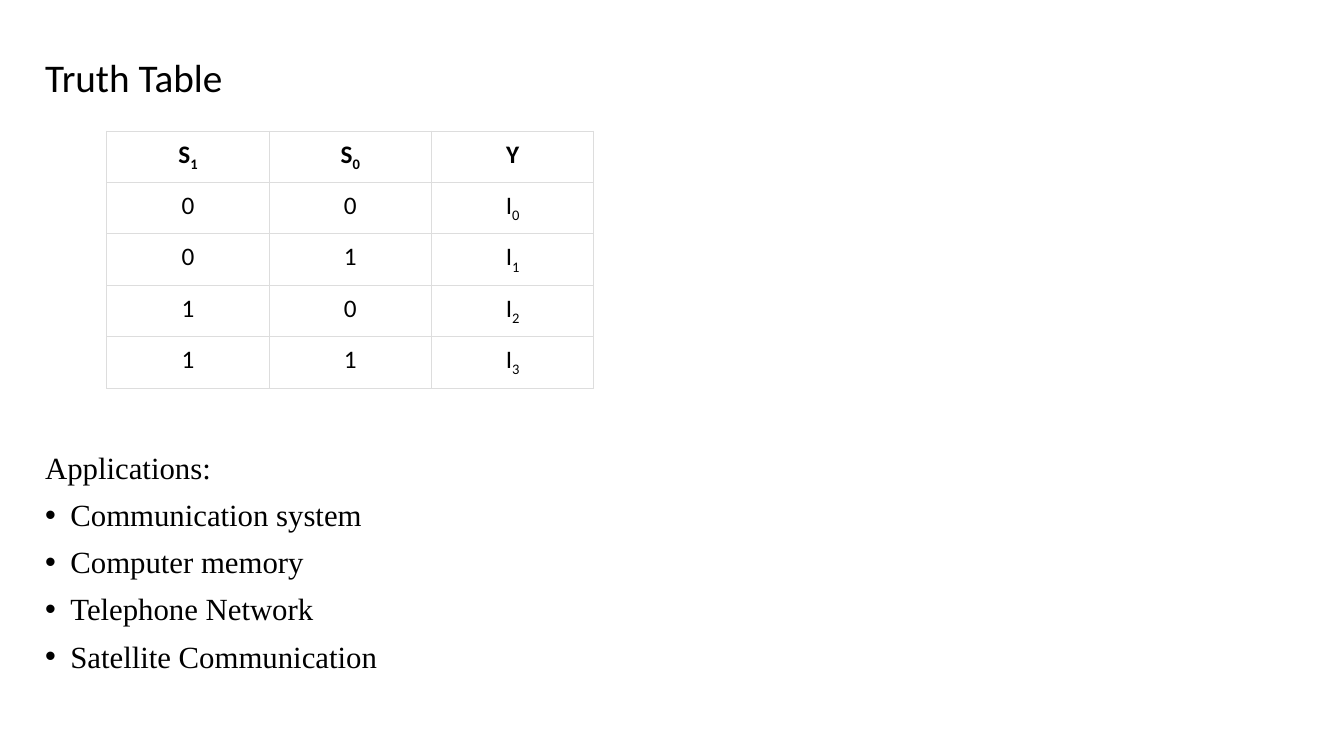
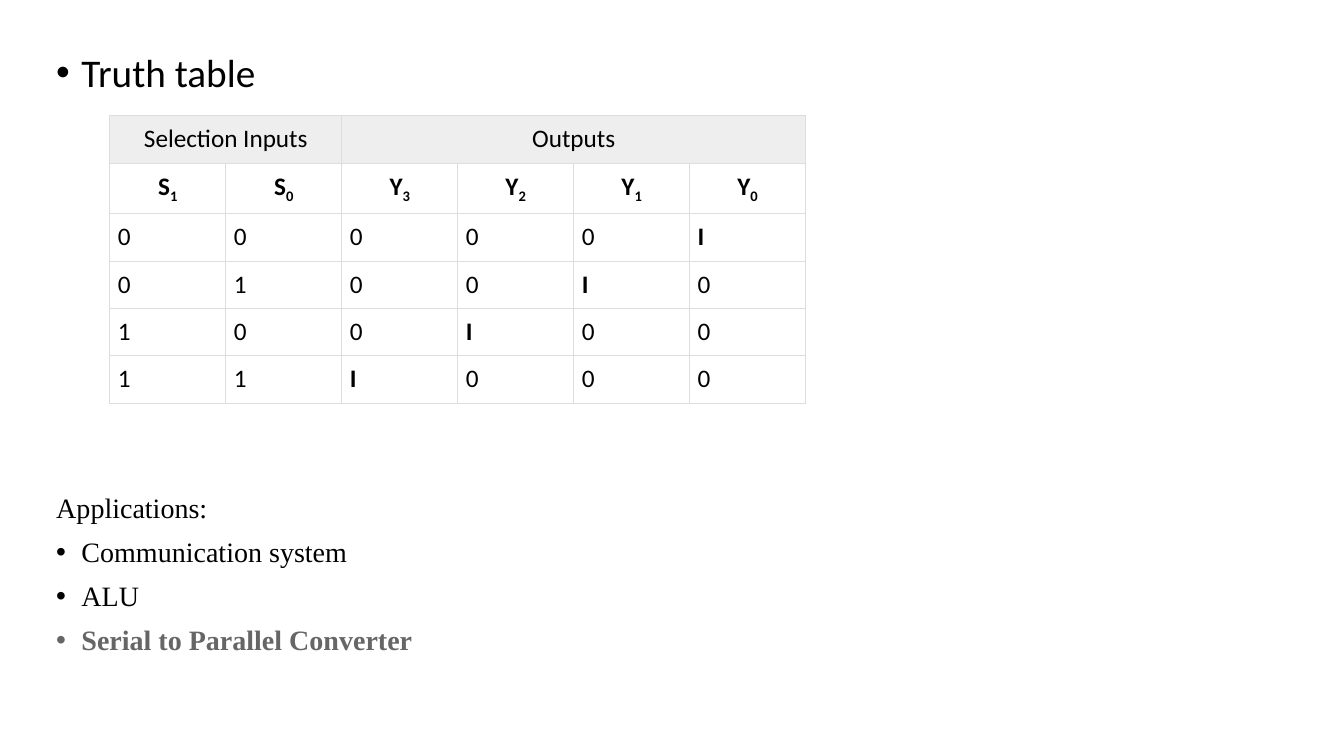
from lxml.etree import SubElement
from pptx import Presentation
from pptx.dml.color import RGBColor
from pptx.enum.text import MSO_ANCHOR, PP_ALIGN
from pptx.oxml.ns import qn
from pptx.util import Inches, Pt

COLORS = {"text": "000000", "muted": "666666", "border": "DDDDDD", "band": "EEEEEE"}
HEADING = {"name": "Calibri", "size": Pt(28)}
CELL = {"name": "Calibri", "size": Pt(18)}
BODY_FONT = "Times New Roman"
PARAGRAPH = {"line_spacing": 0.9, "space_before": Pt(10)}
FRAME = {"word_wrap": True, "vertical_anchor": MSO_ANCHOR.TOP}
CELL_PADDING = {f"margin_{side}": Inches(0.08) for side in ("left", "right", "top", "bottom")}
PLAIN_TABLE = {"first_row": False, "horz_banding": False}
BULLET_INDENT = Inches(0.25)


def apply(target, formats):
    """Set every attribute named in a dict of format values."""
    for name, value in formats.items():
        setattr(target, name, value)


def add_run(paragraph, words, formats, color="text"):
    """Add a formatted run and return it."""
    run = paragraph.add_run()
    run.text = words
    apply(run.font, formats)
    run.font.color.rgb = RGBColor.from_string(COLORS[color])
    return run


def add_bullet(paragraph):
    """Give a paragraph a round bullet with a hanging indent."""
    properties = paragraph._p.get_or_add_pPr()
    properties.set("marL", str(BULLET_INDENT))
    properties.set("indent", str(-BULLET_INDENT))
    SubElement(properties, qn("a:buFont"), typeface="Arial")
    SubElement(properties, qn("a:buChar"), char="•")


def add_lines(slide, left, top, height, lines):
    """Add a text block; each line is (words, bulleted, font formats, colour)."""
    frame = slide.shapes.add_textbox(left, top, Inches(12), height).text_frame
    apply(frame, FRAME)
    for index, (words, bulleted, formats, color) in enumerate(lines):
        paragraph = frame.add_paragraph() if index else frame.paragraphs[0]
        apply(paragraph, PARAGRAPH)
        if bulleted:
            add_bullet(paragraph)
        add_run(paragraph, words, formats, color)


def add_applications(slide, left, top, size, uses, emphasized=()):
    """Add the list of applications under its label."""
    plain = {"name": BODY_FONT, "size": Pt(size)}
    lines = [("Applications:", False, plain, "text")]
    for use in uses:
        strong = use in emphasized
        lines.append((use, True, plain | {"bold": strong}, "muted" if strong else "text"))
    add_lines(slide, left, top, Inches(2.4), lines)


def add_borders(cell):
    """Draw a thin border on all four sides of a cell, ahead of its fill."""
    properties = cell._tc.get_or_add_tcPr()
    for position, side in enumerate(("lnL", "lnR", "lnT", "lnB")):
        border = SubElement(properties, qn(f"a:{side}"), w=str(Pt(0.75)))
        properties.insert(position, border)
        fill = SubElement(border, qn("a:solidFill"))
        SubElement(fill, qn("a:srgbClr"), val=COLORS["border"])


def fill_cell(cell, label, bold, align):
    """Write a label into a cell; the part after an underscore is a subscript."""
    paragraph = cell.text_frame.paragraphs[0]
    paragraph.alignment = align
    formats = CELL | {"bold": bold}
    base, _, subscript = label.partition("_")
    add_run(paragraph, base, formats)
    if subscript:
        lowered = add_run(paragraph, subscript, formats)
        lowered._r.get_or_add_rPr().set("baseline", "-25000")


def add_truth_table(slide, left, top, column_width, row_heights, labels, values,
                    groups=(), value_align=PP_ALIGN.CENTER):
    """Add a truth table; groups are (title, column count) above the labels."""
    rows = [labels.split()] + [line.split() for line in values]
    offset = 1 if groups else 0
    columns = len(rows[0])
    table = slide.shapes.add_table(len(rows) + offset, columns, left, top,
                                   column_width * columns, sum(row_heights)).table
    apply(table, PLAIN_TABLE)
    for column in table.columns:
        column.width = column_width
    for row, height in zip(table.rows, row_heights):
        row.height = height
    for cell in table.iter_cells():
        apply(cell, CELL_PADDING)
        cell.fill.background()
        add_borders(cell)

    start = 0
    for title, span in groups:
        group = table.cell(0, start)
        group.merge(table.cell(0, start + span - 1))
        group.fill.solid()
        group.fill.fore_color.rgb = RGBColor.from_string(COLORS["band"])
        fill_cell(group, title, False, PP_ALIGN.CENTER)
        start += span

    for r, row in enumerate(rows):
        align = value_align if r else PP_ALIGN.CENTER
        for c, label in enumerate(row):
            fill_cell(table.cell(r + offset, c), label, r == 0 or label == "I", align)


def build_multiplexer(slide):
    """Build the truth table with one output."""
    left = Inches(0.35)
    add_lines(slide, left, Inches(0.53), Inches(0.6),
              [("Truth Table", False, HEADING, "text")])
    add_truth_table(slide, Inches(1.06), Inches(1.3), Inches(1.61), [Inches(0.51)] * 5,
                    "S_1 S_0 Y", ["0 0 I_0", "0 1 I_1", "1 0 I_2", "1 1 I_3"])
    add_applications(slide, left, Inches(4.44), 22,
                     ["Communication system", "Computer memory",
                      "Telephone Network", "Satellite Communication"])


def build_demultiplexer(slide):
    """Build the truth table with four outputs."""
    left = Inches(0.46)
    add_lines(slide, left, Inches(0.48), Inches(0.6),
              [("Truth table", True, HEADING, "text")])
    heights = [Inches(0.47), Inches(0.5)] + [Inches(0.47)] * 4
    add_truth_table(slide, Inches(1.09), Inches(1.15), Inches(1.15), heights,
                    "S_1 S_0 Y_3 Y_2 Y_1 Y_0",
                    ["0 0 0 0 0 I", "0 1 0 0 I 0", "1 0 0 I 0 0", "1 1 I 0 0 0"],
                    groups=[("Selection Inputs", 2), ("Outputs", 4)],
                    value_align=PP_ALIGN.LEFT)
    converter = "Serial to Parallel Converter"
    add_applications(slide, left, Inches(4.85), 20,
                     ["Communication system", "ALU", converter], emphasized=[converter])


def main():
    """Build both slides and save the presentation."""
    deck = Presentation()
    apply(deck, {"slide_width": Inches(13.33), "slide_height": Inches(7.5)})
    for build in (build_multiplexer, build_demultiplexer):
        build(deck.slides.add_slide(deck.slide_layouts[6]))
    deck.save("out.pptx")


main()
